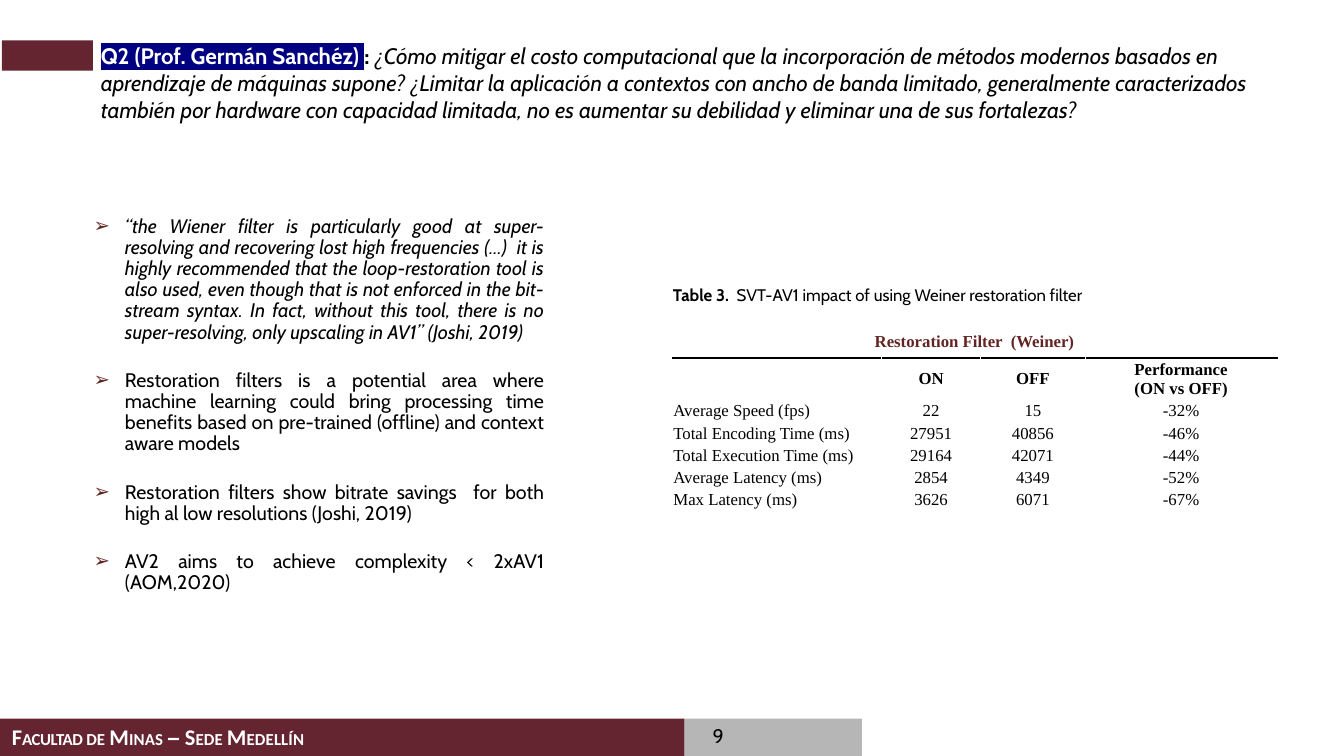
from dataclasses import dataclass

from lxml import etree
from pptx import Presentation
from pptx.dml.color import RGBColor
from pptx.enum.shapes import MSO_SHAPE
from pptx.enum.text import MSO_ANCHOR, PP_ALIGN
from pptx.oxml.ns import qn
from pptx.util import Cm, Pt

RECTANGLE = MSO_SHAPE.RECTANGLE
TOP, MIDDLE = MSO_ANCHOR.TOP, MSO_ANCHOR.MIDDLE
LEFT, CENTER, JUSTIFY = PP_ALIGN.LEFT, PP_ALIGN.CENTER, PP_ALIGN.JUSTIFY

COLORS = {
    "maroon": "642531",
    "accent": "632523",
    "gray": "7E7E7E",
    "navy": "000080",
    "black": "000000",
    "white": "FFFFFF",
}
BODY_FONT, FOOTER_FONT, TABLE_FONT = "Cabin", "Calibri", "Times New Roman"


@dataclass
class Bar:
    left: float
    top: float
    width: float
    height: float
    color: str
    opacity: int = 100


@dataclass
class Span:
    text: str
    bold: bool = False
    italic: bool = False
    color: str = "black"
    highlight: str | None = None
    size: float | None = None
    font: str | None = None
    spacing: float = 0


BARS = [
    Bar(17.25, 18.11, 4.47, 0.94, "gray", 56),
    Bar(0, 18.11, 17.25, 0.94, "maroon"),
    Bar(0.05, 1.02, 2.29, 0.76, "maroon"),
]
TITLE = [
    Span("Q2 (Prof. Germán Sanchéz) ", bold=True, color="white", highlight="navy"),
    Span(": ", bold=True),
    Span("¿Cómo mitigar el costo computacional que la incorporación de métodos modernos "
         "basados en aprendizaje de máquinas supone? ¿Limitar la aplicación a contextos con "
         "ancho de banda limitado, generalmente caracterizados también por hardware con "
         "capacidad limitada, no es aumentar su debilidad y eliminar una de sus fortalezas?",
         italic=True),
]
FOOTER = [
    Span(text, bold=True, color="white", size=size, font=font, spacing=spacing)
    for text, size, font, spacing in [
        ("F", 16, FOOTER_FONT, -0.3), ("ACULTAD ", 12, FOOTER_FONT, -0.3),
        ("DE ", 12, FOOTER_FONT, 0.1), ("M", 16, FOOTER_FONT, 0.1),
        ("INAS ", 12, FOOTER_FONT, 0.1), ("– ", 16, "Arial", -0.8),
        ("S", 16, FOOTER_FONT, 0.1), ("EDE ", 12, FOOTER_FONT, 0.1),
        ("M", 16, FOOTER_FONT, 0.1), ("EDELLÍN", 12, FOOTER_FONT, 0.1),
    ]
]
BULLETS = [
    Span("“the Wiener filter is particularly good at super-resolving and recovering lost high "
         "frequencies (…)  it is highly recommended that the loop-restoration tool is also used, "
         "even though that is not enforced in the bit-stream syntax. In fact, without this tool, "
         "there is no super-resolving, only upscaling in AV1” (Joshi, 2019)", italic=True),
    Span("Restoration filters is a potential area where machine learning could bring processing "
         "time benefits based on pre-trained (offline) and context aware models "),
    Span("Restoration filters show bitrate savings  for both high al low resolutions (Joshi, 2019)"),
    Span("AV2 aims to achieve complexity < 2xAV1 (AOM,2020)"),
]
CAPTION = [
    Span("Table 3. ", bold=True),
    Span(" SVT-AV1 impact of using Weiner restoration filter"),
]
TABLE_ROWS = [
    ("Restoration Filter  (Weiner)", "", "", ""),
    ("", "ON", "OFF", "Performance\v(ON vs OFF)"),
    ("Average Speed (fps)", "22", "15", "-32%"),
    ("Total Encoding Time (ms)", "27951", "40856", "-46%"),
    ("Total Execution Time (ms)", "29164", "42071", "-44%"),
    ("Average Latency (ms)", "2854", "4349", "-52%"),
    ("Max Latency (ms)", "3626", "6071", "-67%"),
]
COLUMN_WIDTHS = [5.28, 2.49, 2.64, 4.83]
ROW_HEIGHTS = [0.84, 0.64] + [0.56] * 5


def rgb(name: str) -> RGBColor:
    return RGBColor.from_string(COLORS[name])


def add_color(parent, name: str):
    return etree.SubElement(parent, qn("a:srgbClr"), val=COLORS[name])


def draw_bar(page, bar: Bar) -> None:
    shape = page.shapes.add_shape(
        RECTANGLE, Cm(bar.left), Cm(bar.top), Cm(bar.width), Cm(bar.height))
    shape.shadow.inherit = False
    shape.line.fill.background()
    shape.fill.solid()
    shape.fill.fore_color.rgb = rgb(bar.color)
    if bar.opacity < 100:
        color = shape.fill._xPr.find(qn("a:solidFill"))[0]
        etree.SubElement(color, qn("a:alpha"), val=str(bar.opacity * 1000))


def write_spans(para, spans: list[Span], size: float, font: str = BODY_FONT) -> None:
    para.font.size, para.font.name = Pt(size), font
    for item in spans:
        span = para.add_run()
        span.text = item.text
        span.font.bold, span.font.italic = item.bold, item.italic
        span.font.color.rgb = rgb(item.color)
        if item.size:
            span.font.size = Pt(item.size)
        if item.font:
            span.font.name = item.font
        properties = span._r.get_or_add_rPr()
        if item.spacing:
            properties.set("spc", str(round(item.spacing * 100)))
        if item.highlight:
            highlight = etree.Element(qn("a:highlight"))
            add_color(highlight, item.highlight)
            properties.find(qn("a:solidFill")).addnext(highlight)


def add_text_frame(page, left: float, top: float, width: float, height: float, wrap: bool = True):
    frame = page.shapes.add_textbox(Cm(left), Cm(top), Cm(width), Cm(height)).text_frame
    frame.word_wrap = wrap
    return frame


def clear_margins(frame) -> None:
    frame.margin_left = frame.margin_top = frame.margin_right = frame.margin_bottom = 0


def set_bullet(para) -> None:
    properties = para._p.get_or_add_pPr()
    properties.set("marL", str(Cm(0.79)))
    properties.set("indent", str(-Cm(0.79)))
    marks = [etree.Element(qn("a:buClr")),
             etree.Element(qn("a:buFont"), typeface="Arial"),
             etree.Element(qn("a:buChar"), char="➢")]
    add_color(marks[0], "accent")
    for mark in marks:
        properties.find(qn("a:defRPr")).addprevious(mark)


def set_borders(cell, top: str, bottom: str) -> None:
    properties = cell._tc.get_or_add_tcPr()
    for side, name in (("L", "white"), ("R", "white"), ("T", top), ("B", bottom)):
        line = etree.SubElement(properties, qn(f"a:ln{side}"), w=str(Pt(1)))
        add_color(etree.SubElement(line, qn("a:solidFill")), name)


def draw_table(page) -> None:
    table = page.shapes.add_table(len(TABLE_ROWS), len(COLUMN_WIDTHS), Cm(16.94), Cm(8.18),
                                  Cm(sum(COLUMN_WIDTHS)), Cm(sum(ROW_HEIGHTS))).table
    table.first_row = table.horz_banding = False
    for column, width in zip(table.columns, COLUMN_WIDTHS):
        column.width = Cm(width)
    for row, height in zip(table.rows, ROW_HEIGHTS):
        row.height = Cm(height)
    for row_index, values in enumerate(TABLE_ROWS):
        for column_index, value in enumerate(values):
            cell = table.cell(row_index, column_index)
            set_borders(cell, "black" if row_index == 1 else "white",
                        "black" if row_index == 0 else "white")
            cell.fill.background()
            cell.vertical_anchor = MIDDLE
            cell.margin_left = cell.margin_top = cell.margin_right = Cm(0.03)
            cell.margin_bottom = 0
            cell.text = value
            para = cell.text_frame.paragraphs[0]
            para.alignment = LEFT if row_index > 1 and column_index == 0 else CENTER
            para.font.size, para.font.name = Pt(12), TABLE_FONT
            para.font.bold = row_index < 2
            para.font.color.rgb = rgb("accent" if row_index == 0 else "black")
    table.cell(0, 0).merge(table.cell(0, len(COLUMN_WIDTHS) - 1))


def main() -> None:
    deck = Presentation()
    deck.slide_width, deck.slide_height = Cm(33.87), Cm(19.05)
    page = deck.slides.add_slide(deck.slide_layouts[5])

    for bar in BARS:
        draw_bar(page, bar)

    title = page.shapes.title
    title.left, title.top, title.width, title.height = Cm(2.54), Cm(1.07), Cm(29.41), Cm(2.06)
    clear_margins(title.text_frame)
    title.text_frame.vertical_anchor = TOP
    heading = title.text_frame.paragraphs[0]
    heading.alignment = LEFT
    write_spans(heading, TITLE, 16)

    footer = add_text_frame(page, 0.05, 18.26, 8.31, 0.79, wrap=False).paragraphs[0]
    footer.line_spacing = Pt(14.3)
    write_spans(footer, FOOTER, 12, FOOTER_FONT)

    number_frame = add_text_frame(page, 17.96, 18.34, 0.71, 0.56)
    clear_margins(number_frame)
    number_frame.paragraphs[0].line_spacing = Pt(14.3)
    write_spans(number_frame.paragraphs[0], [Span("9")], 14)

    body = add_text_frame(page, 2.11, 4.65, 11.86, 11.2)
    body.margin_top = Cm(0.8)
    for index, bullet in enumerate(BULLETS):
        para = body.add_paragraph() if index else body.paragraphs[0]
        para.alignment, para.line_spacing, para.space_after = JUSTIFY, 0.9, Pt(19.3)
        write_spans(para, [bullet], 14)
        set_bullet(para)

    draw_table(page)
    caption = add_text_frame(page, 16.71, 7.11, 16.94, 0.71).paragraphs[0]
    caption.line_spacing = 0.9
    write_spans(caption, CAPTION, 12)

    deck.save("out.pptx")


if __name__ == "__main__":
    main()
